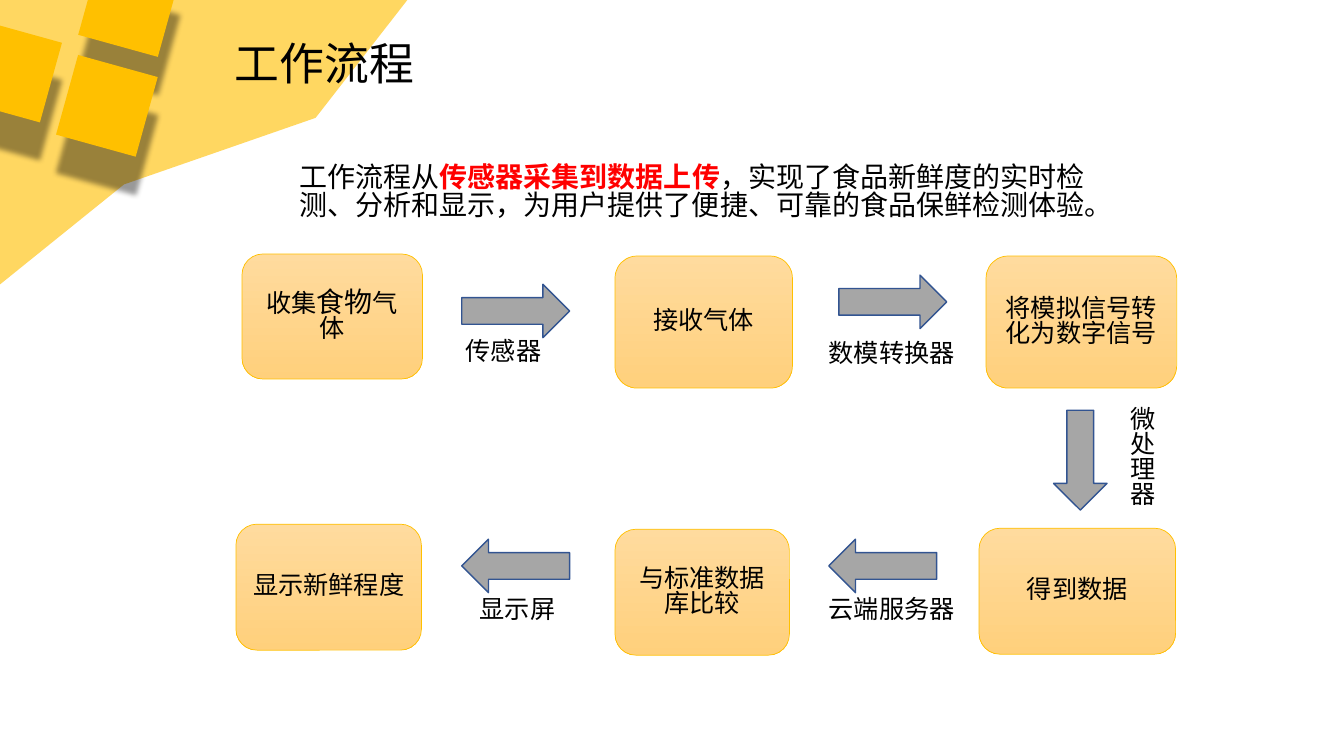
from dataclasses import dataclass

from lxml.etree import SubElement
from pptx import Presentation
from pptx.dml.color import RGBColor
from pptx.enum.shapes import MSO_SHAPE
from pptx.enum.text import MSO_ANCHOR, MSO_AUTO_SIZE, PP_ALIGN
from pptx.oxml.ns import qn
from pptx.util import Inches, Pt


@dataclass(frozen=True)
class Theme:
    font: str = "Noto Sans CJK SC"
    ink: str = "000000"
    accent: str = "FF0000"
    gold: str = "FFC000"
    box_top: str = "FFDB9E"
    box_bottom: str = "FFD07C"
    arrow: str = "A6A6A6"
    arrow_line: str = "325491"
    title: int = 32
    body: int = 20
    label: int = 18
    spacing: float = 0.83


T = Theme()

# Content: each run is (text, format)
TITLE = ("工作流程", (2.23, 0.39, 2.08, 0.64))
INTRO = [
    ("工作流程从", {}),
    ("传感器采集到数据上传", {"color": T.accent, "bold": True}),
    ("，实现了食品新鲜度的实时检测、分析和显示，为用户提供了便捷、可靠的食品保鲜检测体验。", {}),
]
INTRO_AT = (2.87, 1.59, 8.23, 1)
STEPS = [
    ([("收集", {}), ("食物", {"size": T.body}), ("气体", {})], (2.4, 2.52, 1.79, 1.24)),
    ([("接收气体", {})], (6.1, 2.54, 1.76, 1.31)),
    ([("将模拟信号转化为数字信号", {})], (9.78, 2.54, 1.89, 1.31)),
    ([("得到数据", {})], (9.71, 5.24, 1.95, 1.25)),
    ([("与标准数据库比较", {})], (6.1, 5.25, 1.73, 1.25)),
    ([("显示新鲜程度", {})], (2.34, 5.2, 1.84, 1.25)),
]
RIGHT, DOWN, LEFT = MSO_SHAPE.RIGHT_ARROW, MSO_SHAPE.DOWN_ARROW, MSO_SHAPE.LEFT_ARROW
ARROWS = [
    (RIGHT, (4.58, 2.82, 1.07, 0.53)),
    (RIGHT, (8.32, 2.73, 1.07, 0.53)),
    (DOWN, (10.45, 4.07, 0.53, 0.99)),
    (LEFT, (8.22, 5.35, 1.07, 0.53)),
    (LEFT, (4.58, 5.35, 1.07, 0.53)),
]
LABELS = [
    ("传感器", (4.52, 3.33, 1.12, 0.4), False),
    ("数模转换器", (8.12, 3.35, 1.47, 0.4), False),
    ("微处理器", (10.98, 3.93, 0.5, 1.27), True),
    ("云端服务器", (8.12, 5.89, 1.54, 0.4), False),
    ("显示屏", (4.66, 5.89, 0.99, 0.4), False),
]
CORNER = [(-0.01, 0), (-0.01, 2.83), (1.23, 1.83), (3.13, 1.17), (4.04, 0)]
TILES = [(-0.3, 0.3), (0.87, -0.35), (0.65, 0.64)]
TILE_SIZE, TILE_TURN = 0.82, 195.5


def rgb(color):
    return RGBColor.from_string(color)


def inches(at):
    return [Inches(v) for v in at]


def write(sp, runs, size=T.label, align=PP_ALIGN.LEFT, anchor=MSO_ANCHOR.TOP, vertical=False):
    """Fill a shape with one paragraph of formatted runs."""
    tf = sp.text_frame
    tf.word_wrap = True
    tf.auto_size = MSO_AUTO_SIZE.NONE
    tf.vertical_anchor = anchor
    if vertical:
        tf._txBody.bodyPr.set("vert", "eaVert")
    p = tf.paragraphs[0]
    p.alignment = align
    p.line_spacing = T.spacing
    for text, fmt in runs:
        r = p.add_run()
        r.text = text
        r.font.size = Pt(fmt.get("size", size))
        r.font.bold = fmt.get("bold", False)
        r.font.color.rgb = rgb(fmt.get("color", T.ink))
        r.font.name = T.font
        ea = SubElement(r._r.get_or_add_rPr(), qn("a:ea"))
        ea.set("typeface", T.font)


def add_shape(shapes, kind, at, fill=None, line=None, width=1):
    sp = shapes.add_shape(kind, *inches(at))
    sp.shadow.inherit = False
    if fill:
        sp.fill.solid()
        sp.fill.fore_color.rgb = rgb(fill)
    if line:
        sp.line.color.rgb = rgb(line)
        sp.line.width = Pt(width)
    else:
        sp.line.fill.background()
    return sp


def set_alpha(color, percent):
    SubElement(color, qn("a:alpha")).set("val", str(percent * 1000))


def drop_shadow(sp):
    effects = sp._element.spPr.find(qn("a:effectLst"))
    shadow = SubElement(effects, qn("a:outerShdw"), blurRad=str(Pt(4)), dist=str(Pt(27)),
                        dir="5400000", algn="t", rotWithShape="0")
    set_alpha(SubElement(shadow, qn("a:srgbClr"), val="000000"), 40)


def add_corner(slide):
    points = [inches(pt) for pt in CORNER]
    builder = slide.shapes.build_freeform(*points[0])
    builder.add_line_segments(points[1:], close=True)
    sp = builder.convert_to_shape()
    sp.shadow.inherit = False
    sp.fill.solid()
    sp.fill.fore_color.rgb = rgb(T.gold)
    set_alpha(sp._element.spPr.find(qn("a:solidFill"))[0], 62)
    sp.line.fill.background()

    tiles = slide.shapes.add_group_shape()
    for x, y in TILES:
        tile = add_shape(tiles.shapes, MSO_SHAPE.RECTANGLE, (x, y, TILE_SIZE, TILE_SIZE), T.gold)
        tile.rotation = TILE_TURN
        drop_shadow(tile)


def add_step(slide, runs, at):
    sp = add_shape(slide.shapes, MSO_SHAPE.ROUNDED_RECTANGLE, at, line=T.gold, width=0.5)
    sp.fill.gradient()
    sp.fill.gradient_angle = 270
    for stop, color in zip(sp.fill.gradient_stops, (T.box_top, T.box_bottom)):
        stop.color.rgb = rgb(color)
    write(sp, runs, align=PP_ALIGN.CENTER, anchor=MSO_ANCHOR.MIDDLE)


def main():
    prs = Presentation()
    prs.slide_width, prs.slide_height = Inches(13.33), Inches(7.5)
    slide = prs.slides.add_slide(prs.slide_layouts[5])

    # Corner decoration
    add_corner(slide)

    # Flow: steps, arrows and their labels
    for runs, at in STEPS:
        add_step(slide, runs, at)
    for kind, at in ARROWS:
        add_shape(slide.shapes, kind, at, T.arrow, T.arrow_line)
    for text, at, vertical in LABELS:
        write(slide.shapes.add_textbox(*inches(at)), [(text, {})], vertical=vertical)

    # Introduction
    write(slide.shapes.add_textbox(*inches(INTRO_AT)), INTRO, size=T.body)

    # Title, brought in front of the corner
    text, at = TITLE
    title = slide.shapes.title
    title.left, title.top, title.width, title.height = inches(at)
    write(title, [(text, {})], size=T.title)
    slide.shapes._spTree.append(title._element)

    prs.save("out.pptx")


if __name__ == "__main__":
    main()
